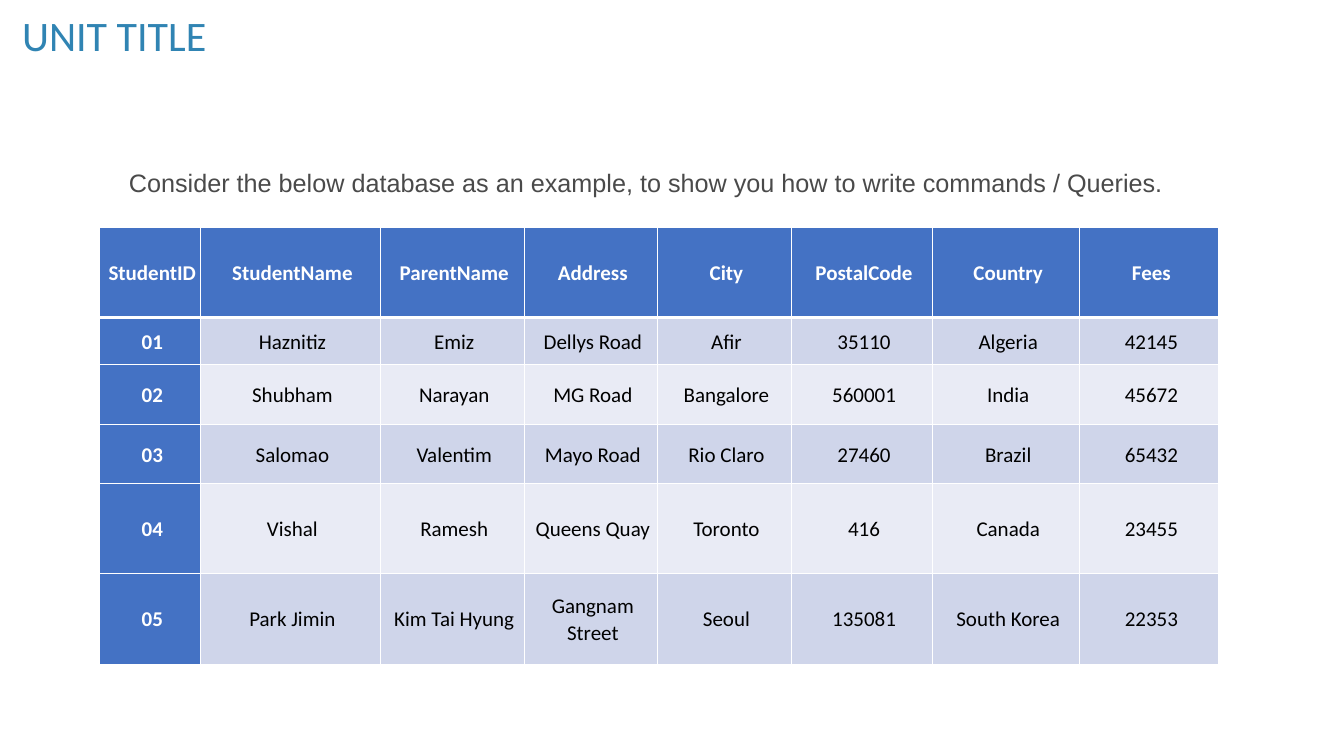
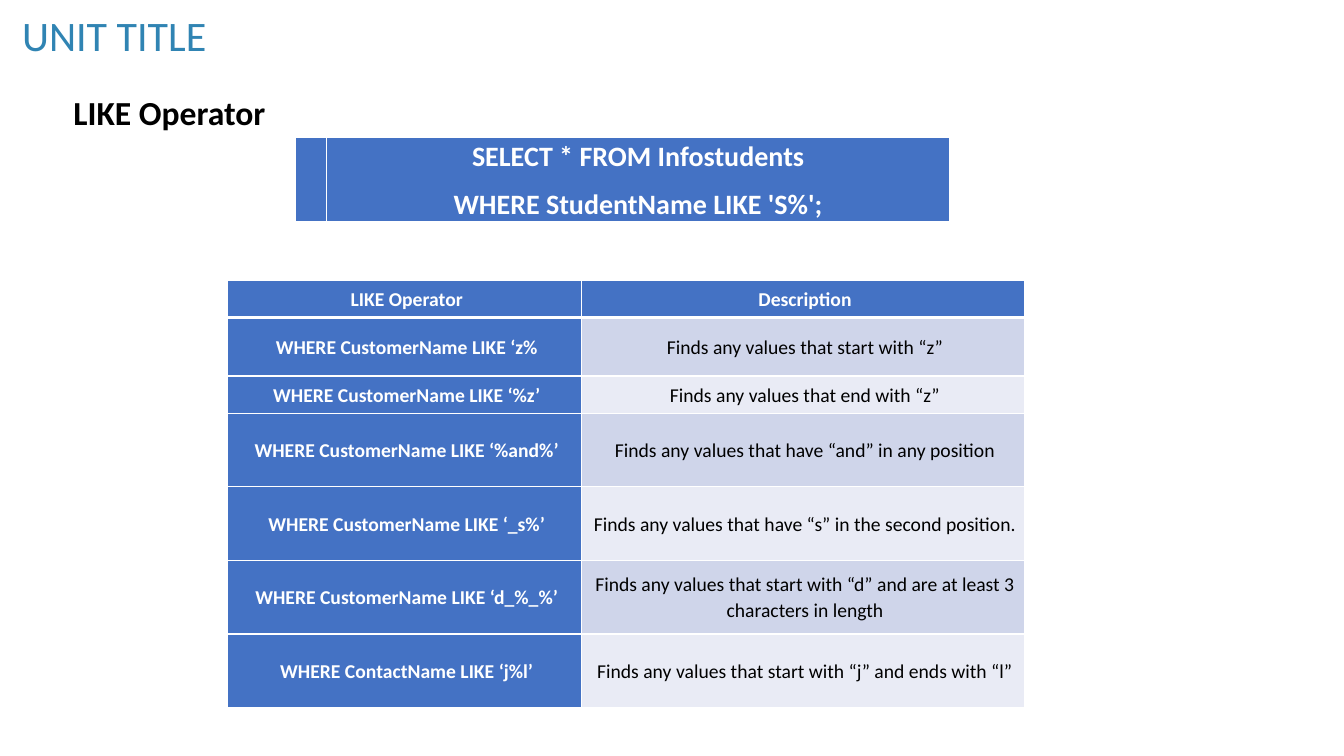
from dataclasses import dataclass

from lxml import etree
from pptx import Presentation
from pptx.dml.color import RGBColor
from pptx.enum import text
from pptx.oxml import ns
from pptx.util import Pt

SCALE = 9144  # EMU per px, 100 px to the inch


def px(length):
    return length * SCALE


@dataclass(frozen=True)
class Theme:
    title: str = "3084B3"
    accent: str = "4472C4"
    bands: tuple = ("CFD5EA", "E9EBF5")
    body: str = "000000"
    note: str = "4A4A4A"
    light: str = "FFFFFF"
    font: str = "Calibri"
    note_font: str = "Arial"
    title_size: int = 30
    heading_size: int = 24
    query_size: int = 20
    note_size: int = 18
    table_size: int = 15
    small_size: int = 14
    rule: int = 1
    thick_rule: int = 3


class Builder:
    def __init__(self, theme):
        self.theme = theme
        self.deck = Presentation()
        self.deck.slide_width = px(1333)
        self.deck.slide_height = px(750)
        self.page = None

    def add_page(self, title):
        """Start a title-only slide with the shared title style."""
        layout = self.deck.slide_layouts.get_by_name("Title Only")
        self.page = self.deck.slides.add_slide(layout)
        box = self.page.shapes.title
        box.left, box.top, box.width, box.height = map(px, (12, 12, 1039, 51))
        frame = box.text_frame
        frame.text = title
        frame.auto_size = text.MSO_AUTO_SIZE.NONE
        frame.vertical_anchor = text.MSO_ANCHOR.MIDDLE
        para = frame.paragraphs[0]
        para.line_spacing = 0.9
        self.style(para, self.theme.title_size, self.theme.title)

    def style(self, para, size, color, bold=False, font=None,
              align=text.PP_ALIGN.LEFT):
        para.alignment = align
        para.font.name = font or self.theme.font
        para.font.size = Pt(size)
        para.font.bold = bold
        para.font.color.rgb = RGBColor.from_string(color)

    def add_text(self, place, words, size, color, **look):
        box = self.page.shapes.add_textbox(*map(px, place))
        box.text_frame.word_wrap = True
        box.text_frame.text = words
        para = box.text_frame.paragraphs[0]
        self.style(para, size, color, **look)
        return para

    def add_table(self, corner, columns, heights, rows, size, insets=(5, 1, 1, 1)):
        """Add a table with a header row, a header column and banded rows."""
        frame = self.page.shapes.add_table(
            len(rows), len(columns), *map(px, (*corner, sum(columns), sum(heights))))
        table = frame.table
        table.first_row = table.horz_banding = False
        for column, width in zip(table.columns, columns):
            column.width = px(width)
        for row, height in zip(table.rows, heights):
            row.height = px(height)
        for row_index, row in enumerate(rows):
            for column_index, words in enumerate(row):
                self.fill_cell(table.cell(row_index, column_index), words,
                               row_index, column_index, size, insets)

    def fill_cell(self, cell, words, row, column, size, insets):
        theme = self.theme
        header = row == 0 or column == 0
        self.add_borders(cell, row)
        cell.fill.solid()
        cell.fill.fore_color.rgb = RGBColor.from_string(
            theme.accent if header else theme.bands[(row - 1) % 2])
        cell.vertical_anchor = text.MSO_ANCHOR.MIDDLE
        (cell.margin_left, cell.margin_top,
         cell.margin_right, cell.margin_bottom) = map(px, insets)
        cell.text_frame.text = words
        for para in cell.text_frame.paragraphs:
            para.line_spacing = 1.07
            para.space_after = Pt(8)
            self.style(para, size, theme.light if header else theme.body,
                       bold=header, align=text.PP_ALIGN.CENTER)

    def add_borders(self, cell, row):
        """Draw light rules, with a thick one under the header row."""
        theme = self.theme
        properties = cell._tc.get_or_add_tcPr()
        thick_side = {0: "lnB", 1: "lnT"}.get(row)
        for side in ("lnL", "lnR", "lnT", "lnB"):
            weight = theme.thick_rule if side == thick_side else theme.rule
            line = etree.SubElement(properties, ns.qn("a:" + side), w=str(Pt(weight)))
            fill = etree.SubElement(line, ns.qn("a:solidFill"))
            etree.SubElement(fill, ns.qn("a:srgbClr"), val=theme.light)


STUDENTS = [
    ("StudentID", "StudentName", "ParentName", "Address",
     "City", "PostalCode", "Country", "Fees"),
    ("01", "Haznitiz", "Emiz", "Dellys Road", "Afir", "35110", "Algeria", "42145"),
    ("02", "Shubham", "Narayan", "MG Road", "Bangalore", "560001", "India", "45672"),
    ("03", "Salomao", "Valentim", "Mayo Road", "Rio Claro", "27460", "Brazil", "65432"),
    ("04", "Vishal", "Ramesh", "Queens Quay", "Toronto", "416", "Canada", "23455"),
    ("05", "Park Jimin", "Kim Tai Hyung", "Gangnam Street",
     "Seoul", "135081", "South Korea", "22353"),
]

QUERY = "SELECT * FROM Infostudents\nWHERE StudentName LIKE 'S%';"

PATTERNS = [
    ("LIKE Operator", "Description"),
    ("WHERE CustomerName LIKE ‘z%", "Finds any values that start with “z”"),
    ("WHERE CustomerName LIKE ‘%z’", "Finds any values that end with “z”"),
    ("WHERE CustomerName LIKE ‘%and%’",
     "Finds any values that have “and” in any position"),
    ("WHERE CustomerName LIKE ‘_s%’",
     "Finds any values that have “s” in the second position."),
    ("WHERE CustomerName LIKE ‘d_%_%’",
     "Finds any values that start with “d” and are at least 3 characters in length"),
    ("WHERE ContactName LIKE ‘j%l’",
     "Finds any values that start with “j” and ends with “l”"),
]


def main():
    theme = Theme()
    builder = Builder(theme)

    # Example database
    builder.add_page("UNIT TITLE")
    builder.add_table((99, 226), (100, 178, 143, 132, 133, 140, 146, 138),
                      (89, 47, 59, 59, 89, 90), STUDENTS, theme.table_size)
    builder.add_text(
        (118, 161, 1069, 40),
        "Consider the below database as an example, "
        "to show you how to write commands / Queries.",
        theme.note_size, theme.note, font=theme.note_font,
        align=text.PP_ALIGN.JUSTIFY)

    # LIKE operator: heading, query and patterns
    builder.add_page("UNIT TITLE")
    heading = builder.add_text((63, 91, 879, 45), "LIKE Operator",
                               theme.heading_size, theme.body, bold=True)
    heading.line_spacing = 0.9
    builder.add_table((293, 136), (31, 618), (85,), [("", QUERY)],
                      theme.query_size, insets=(0, 0, 0, 0))
    builder.add_table((226, 278), (351, 439), (37, 58, 37, *[73] * 4),
                      PATTERNS, theme.small_size)

    builder.deck.save("out.pptx")


if __name__ == "__main__":
    main()
